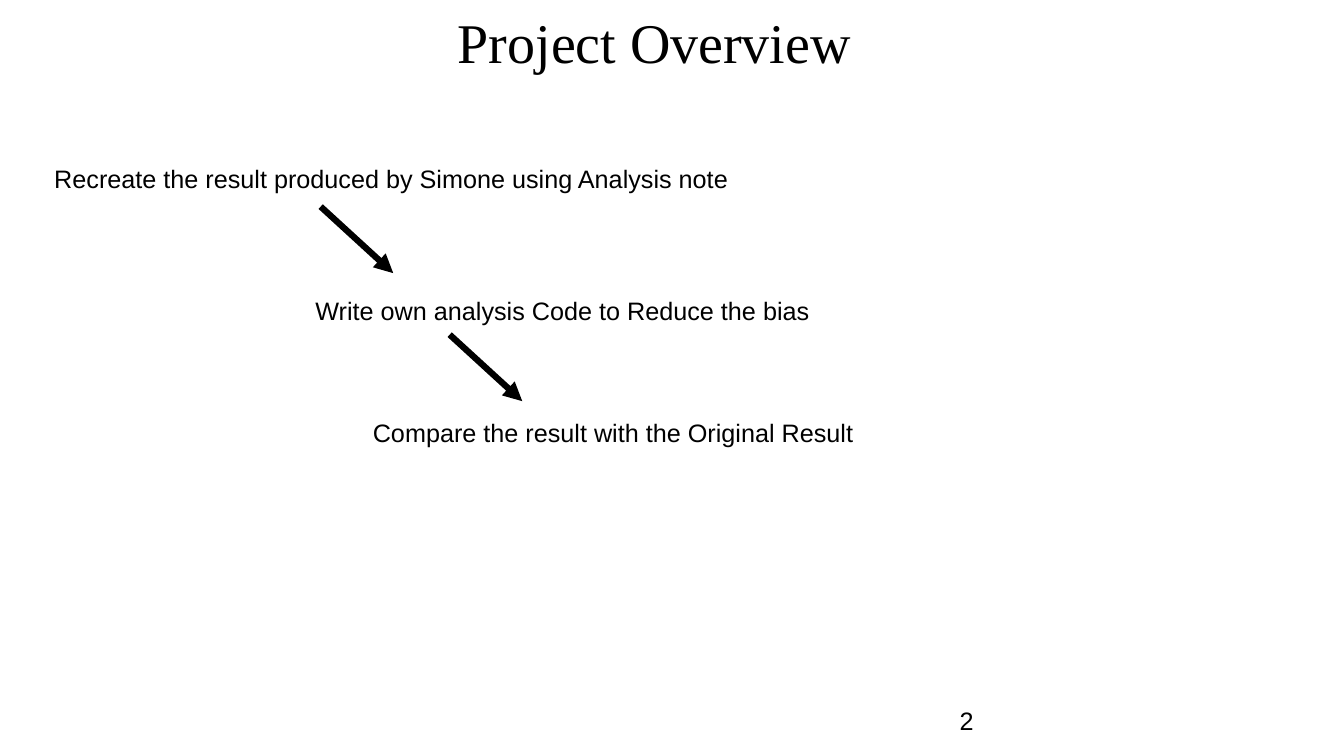
from lxml import etree
from pptx import Presentation
from pptx.dml.color import RGBColor
from pptx.enum import shapes, text
from pptx.oxml import ns
from pptx.util import Inches, Pt

COLORS = {"ink": "000000", "paper": "FFFFFF"}
FONTS = {"title": "Times New Roman", "body": "Arial"}
LINE_HEIGHT = 5.33


class OverviewPage:
    def __init__(self, deck):
        self.deck = deck
        self.page = deck.slides.add_slide(deck.slide_layouts[5])
        fill = self.page.background.fill
        fill.solid()
        fill.fore_color.rgb = RGBColor.from_string(COLORS["paper"])

    def across(self, percent):
        return round(self.deck.slide_width * percent / 100)

    def down(self, percent):
        return round(self.deck.slide_height * percent / 100)

    def set_words(self, box, words, font, size):
        frame = box.text_frame
        frame.text = words
        frame.word_wrap = True
        frame.vertical_anchor = text.MSO_ANCHOR.TOP
        paragraph = frame.paragraphs[0]
        for span in paragraph.runs:
            span.font.name = FONTS[font]
            span.font.size = Pt(size)
            span.font.color.rgb = RGBColor.from_string(COLORS["ink"])
        return paragraph

    def title(self, words, left, top, width, height):
        box = self.page.shapes.title
        box.left, box.top = self.across(left), self.down(top)
        box.width, box.height = self.across(width), self.down(height)
        paragraph = self.set_words(box, words, "title", 40)
        paragraph.alignment = text.PP_ALIGN.CENTER
        paragraph.line_spacing = 0.9

    def label(self, words, left, top, width):
        box = self.page.shapes.add_textbox(
            self.across(left), self.down(top),
            self.across(width), self.down(LINE_HEIGHT))
        self.set_words(box, words, "body", 18)

    def arrow(self, left, top, run=5.4, drop=8.8):
        arrow = self.page.shapes.add_connector(
            shapes.MSO_CONNECTOR.STRAIGHT,
            self.across(left), self.down(top),
            self.across(left + run), self.down(top + drop))
        arrow.line.width = Pt(4.5)
        arrow.line.color.rgb = RGBColor.from_string(COLORS["ink"])
        properties = arrow._element.spPr
        outline = properties.find(ns.qn("a:ln"))
        etree.SubElement(outline, ns.qn("a:tailEnd"), type="triangle")
        etree.SubElement(properties, ns.qn("a:effectLst"))


deck = Presentation()
deck.slide_width, deck.slide_height = Inches(13.33), Inches(7.5)
overview = OverviewPage(deck)

overview.title("Project Overview", 12.15, 1.33, 73.07, 12.67)

steps = [
    ("Recreate the result produced by Simone using Analysis note", 3.3, 20.93, 52.29),
    ("Write own analysis Code to Reduce the bias", 22.73, 38.4, 39.38),
    ("Compare the result with the Original Result", 27, 54.53, 39.38),
]
for step in steps:
    overview.label(*step)

for start in [(23.86, 27.33), (33.46, 44.27)]:
    overview.arrow(*start)

overview.label("2", 70.67, 92.67, 22.5)

deck.save("out.pptx")
